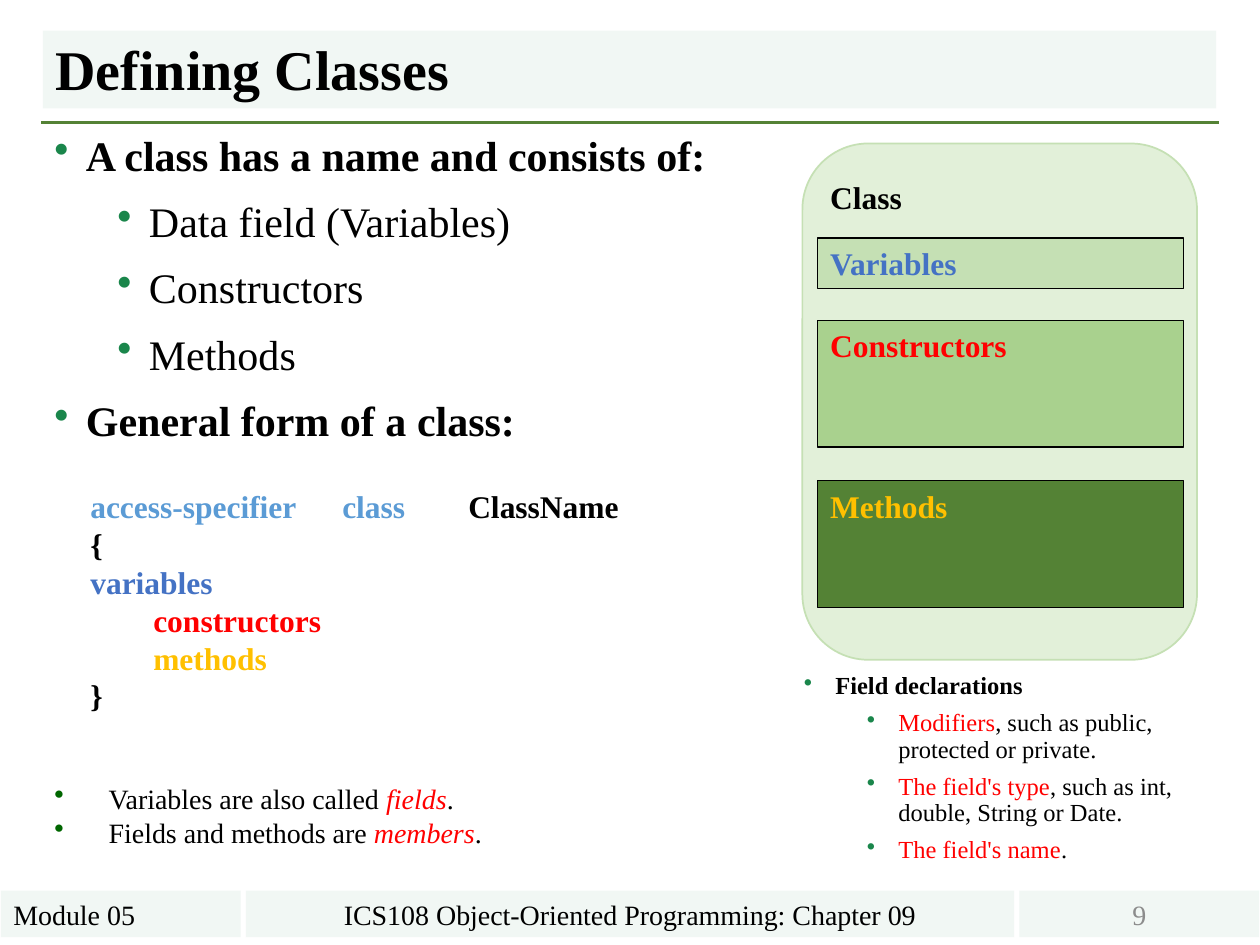
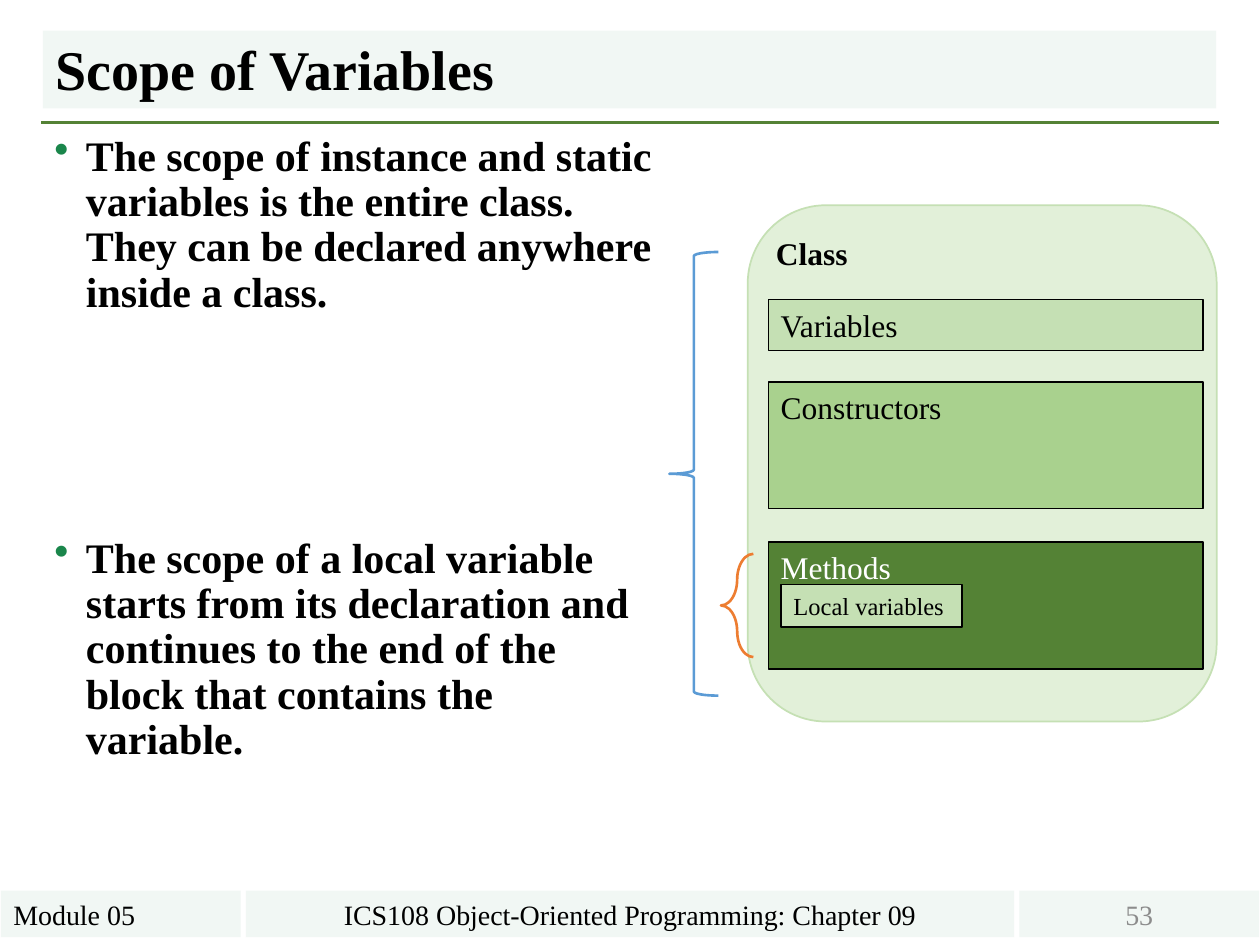
"""Build two slides on class structure and variable scope."""
from lxml.etree import SubElement
from pptx import Presentation
from pptx.dml.color import RGBColor as Rgb
from pptx.enum.shapes import MSO_CONNECTOR as Connector, MSO_SHAPE as Shape
from pptx.enum.text import MSO_ANCHOR as Anchor, MSO_AUTO_SIZE as AutoSize, PP_ALIGN as Align
from pptx.oxml.ns import qn
from pptx.util import Pt

FONT = "Times New Roman"
COLORS = {
    "black": "000000", "white": "FFFFFF", "red": "FF0000", "gold": "FFC000",
    "blue": "4472C4", "sky": "5B9BD5", "orange": "ED7D31", "gray": "8C8C8C",
    "band": "F1F7F4", "bullet": "1A864B", "dark bullet": "006600",
    "pale": "E2F0D9", "light": "C5E0B4", "medium": "A9D18E", "deep": "548235",
}


def write(box, lines, anchor=Anchor.TOP, **base):
    """Fill a box from (paragraph format, spans) pairs."""
    frame = box.text_frame
    frame.word_wrap = True
    frame.auto_size = AutoSize.NONE
    frame.vertical_anchor = anchor
    for number, (layout, spans) in enumerate(lines):
        para = frame.paragraphs[0] if number == 0 else frame.add_paragraph()
        layout = {"alignment": Align.LEFT, **layout}
        margin, hang = layout.pop("margin", 0), layout.pop("hang", 0)
        bullet, tabs = layout.pop("bullet", None), layout.pop("tabs", [])
        if number == 0:
            layout.pop("space_before", None)
        for name, value in layout.items():
            setattr(para, name, value)
        props = para._p.get_or_add_pPr()
        props.set("marL", str(Pt(margin)))
        props.set("indent", str(-Pt(hang)))
        if bullet:
            SubElement(SubElement(props, qn("a:buClr")), qn("a:srgbClr"), val=COLORS[bullet])
            SubElement(props, qn("a:buChar"), char="•")
        if tabs:
            stops = SubElement(props, qn("a:tabLst"))
            for stop in tabs:
                SubElement(stops, qn("a:tab"), pos=str(Pt(stop)), algn="l")
        for text, changes in spans:
            span = para.add_run()
            span.text = text
            look = {"name": FONT, "color": "black", **base, **changes}
            span.font.color.rgb = Rgb.from_string(COLORS[look.pop("color")])
            for name, value in look.items():
                setattr(span.font, name, value)


def add_box(page, kind, place, fill=None, line=None, weight=0.75):
    """Add a preset shape, given its place in points."""
    box = page.shapes.add_shape(kind, *map(Pt, place))
    box.shadow.inherit = False
    if fill:
        box.fill.solid()
        box.fill.fore_color.rgb = Rgb.from_string(COLORS[fill])
    else:
        box.fill.background()
    if line:
        box.line.color.rgb = Rgb.from_string(COLORS[line])
        box.line.width = Pt(weight)
    else:
        box.line.fill.background()
    return box


deck = Presentation()
deck.slide_width, deck.slide_height = Pt(720), Pt(540)

topic = {"margin": 18, "hang": 18, "line_spacing": 0.9, "space_before": Pt(12), "bullet": "bullet"}
subtopic = {**topic, "margin": 54}
small_topic = {**topic, "space_before": Pt(6)}
small_subtopic = {**subtopic, "space_before": Pt(6)}
late_topic = {**topic, "space_before": Pt(126)}
note = {"margin": 31, "hang": 31, "bullet": "dark bullet"}
red, plain = {"color": "red"}, {"bold": False}
red_italic = {"color": "red", "italic": True}
red_plain = {"color": "red", "bold": False}

slides = [
    {
        "title": "Defining Classes", "number": "9", "body width": 672,
        "body": [
            (topic, [("A class has a name and consists of:", {})]),
            (subtopic, [("Data field (Variables)", plain)]),
            (subtopic, [("Constructors", plain)]),
            (subtopic, [("Methods", plain)]),
            (topic, [("General form of a class:", {})]),
        ],
        "panel": (458.5, 82, 225.5, 295), "class label": (467.3, 98),
        "parts": (467.3, 209), "part colors": ("blue", "red", "gold"), "part bold": True,
    },
    {
        "title": "Scope of Variables", "number": "53", "body width": 358,
        "body": [
            (topic, [("The scope of instance and static variables is the entire class. "
                      "They can be declared anywhere inside a class.", {})]),
            (late_topic, [("The scope of a local variable starts from its declaration and "
                           "continues to the end of the block that contains the variable.", {})]),
        ],
        "panel": (427.3, 117.3, 268, 295), "class label": (436.3, 130),
        "parts": (439, 248.5), "part colors": ("black", "black", "white"), "part bold": False,
    },
]
class_parts = [
    ("Variables", "light", 54, 29),
    ("Constructors", "medium", 101, 72.5),
    ("Methods", "deep", 192.5, 72.5),
]

pages = []
for content in slides:
    page = deck.slides.add_slide(deck.slide_layouts[5])
    pages.append(page)

    rule = page.shapes.add_connector(Connector.STRAIGHT, Pt(23.6), Pt(70), Pt(696.4), Pt(70))
    rule.line.color.rgb = Rgb.from_string(COLORS["deep"])
    rule.line.width = Pt(1.5)
    SubElement(rule._element.spPr, qn("a:effectLst"))

    footers = [
        (0.5, 137, "Module 05", Align.LEFT, "black"),
        (140.5, 439, "ICS108 Object-Oriented Programming: Chapter 09", Align.CENTER, "black"),
        (582.5, 137, content["number"], Align.CENTER, "gray"),
    ]
    for left, width, text, alignment, color in footers:
        footer = add_box(page, Shape.RECTANGLE, (left, 509, width, 26.6), "band")
        write(footer, [({"alignment": alignment}, [(text, {})])], Anchor.MIDDLE,
              size=Pt(16), color=color)

    title = page.shapes.title
    for name, value in {"left": 24.5, "top": 17.5, "width": 670.5, "height": 44.5}.items():
        setattr(title, name, Pt(value))
    title.fill.solid()
    title.fill.fore_color.rgb = Rgb.from_string(COLORS["band"])
    write(title, [({"line_spacing": 0.9}, [(content["title"], {})])], Anchor.BOTTOM,
          size=Pt(32), bold=True)

    body = page.shapes.add_textbox(Pt(24), Pt(73.5), Pt(content["body width"]), Pt(427.5))
    write(body, content["body"], size=Pt(24), bold=True)

    add_box(page, Shape.ROUNDED_RECTANGLE, content["panel"], "pale", "light", 1)
    left, top = content["class label"]
    label = page.shapes.add_textbox(Pt(left), Pt(top), Pt(79), Pt(29))
    write(label, [({}, [("Class", {})])], size=Pt(18), bold=True)
    left, width = content["parts"]
    for (text, fill, offset, height), color in zip(class_parts, content["part colors"]):
        place = (left, content["panel"][1] + offset, width, height)
        part = add_box(page, Shape.RECTANGLE, place, fill, "black")
        write(part, [({}, [(text, {})])], size=Pt(18), color=color, bold=content["part bold"])

defining, scope = pages

syntax = defining.shapes.add_textbox(Pt(44.5), Pt(275), Pt(322), Pt(117))
write(syntax, [
    ({"tabs": [131, 181]}, [("access-specifier\tclass\t", {"color": "sky"}), ("ClassName {", {})]),
    ({}, [("variables", {"color": "blue"})]),
    ({"margin": 36}, [("constructors", red)]),
    ({"margin": 36}, [("methods", {"color": "gold"})]),
    ({}, [("}", {})]),
], size=Pt(18), bold=True)

notes = defining.shapes.add_textbox(Pt(24), Pt(443), Pt(435), Pt(46))
write(notes, [
    (note, [("Variables are also called ", {}), ("fields", red_italic), (".", {})]),
    (note, [("Fields and methods are ", {}), ("members", red_italic), (".", {})]),
], size=Pt(16))

fields = defining.shapes.add_textbox(Pt(452.3), Pt(381.5), Pt(249), Pt(121))
write(fields, [
    (small_topic, [("Field declarations", {})]),
    (small_subtopic, [("Modifiers", red_plain),
                      (", such as public, protected or private.", plain)]),
    (small_subtopic, [("The field's type", red_plain),
                      (", such as int, double, String or Date.", plain)]),
    (small_subtopic, [("The field's name", red_plain), (".", plain)]),
], size=Pt(14), bold=True)

local = add_box(scope, Shape.RECTANGLE, (446.3, 334, 103.5, 24.3), "light", "black")
write(local, [({}, [("Local variables", {})])], size=Pt(14))
add_box(scope, Shape.LEFT_BRACE, (382.5, 144, 28, 253.5), line="sky", weight=1.5)
method_brace = add_box(scope, Shape.LEFT_BRACE, (412, 316.5, 18.5, 59), line="orange", weight=1.5)
method_brace.adjustments[0] = 0.93

deck.save("out.pptx")
